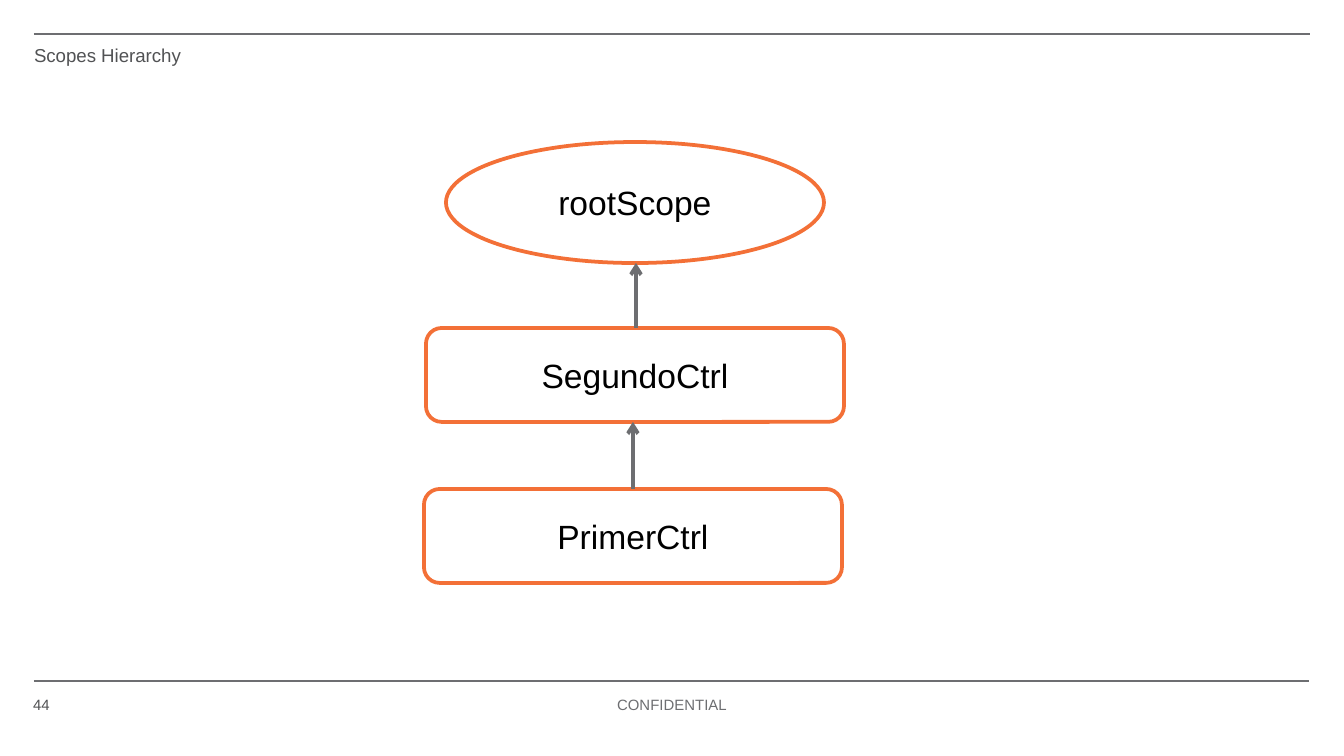
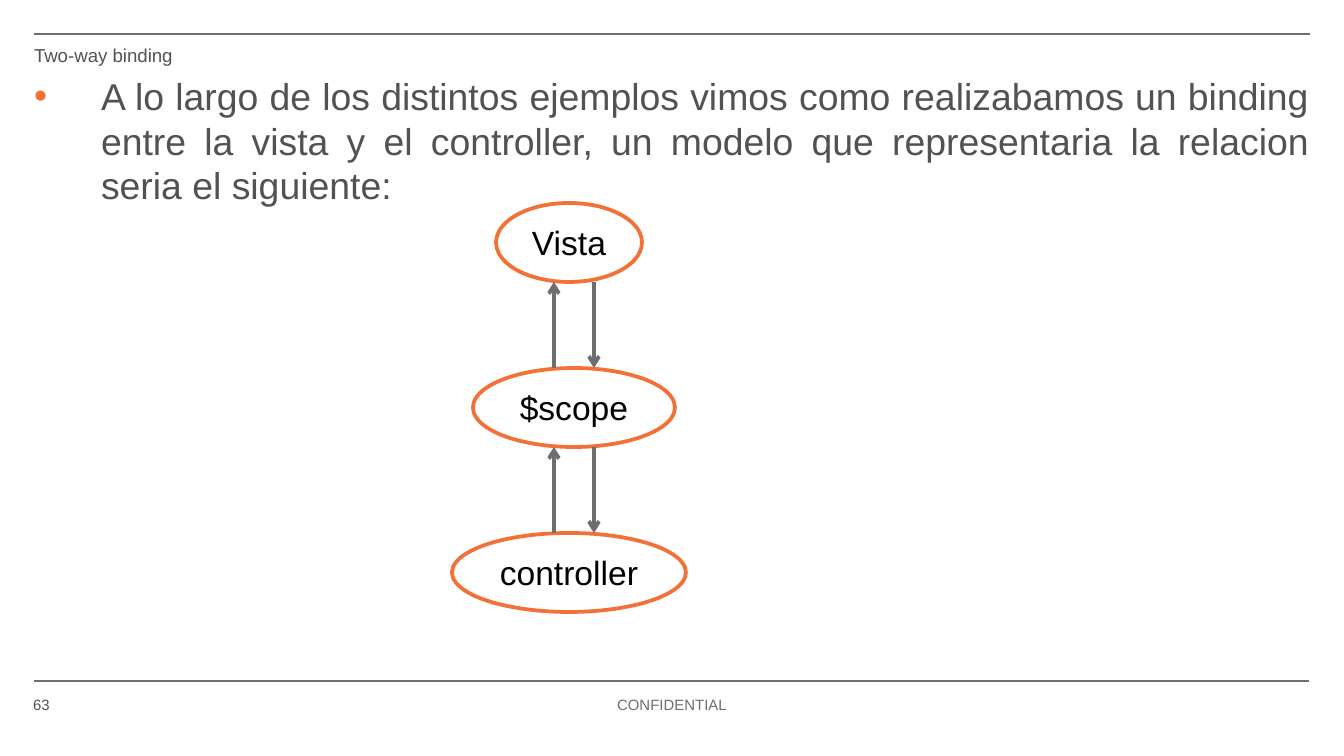
from lxml.etree import SubElement
from pptx import Presentation
from pptx.dml.color import RGBColor
from pptx.enum.shapes import MSO_CONNECTOR, MSO_SHAPE
from pptx.enum.text import MSO_ANCHOR, PP_ALIGN
from pptx.oxml.ns import qn
from pptx.util import Pt

C = {"rule": "6D6E71", "text": "515254", "accent": "F37037", "node": "FFFFFF", "label": "000000"}
FONT = "Arial"
SLIDE_W, SLIDE_H = 1344, 756
MARGIN = 34
RULES = [(MARGIN, 1310, 34), (MARGIN, 1309, 681)]
FOOTER_Y, FOOTER_W, FOOTER_H = 696, 308, 40
ELLIPSE, ROUND = MSO_SHAPE.OVAL, MSO_SHAPE.ROUNDED_RECTANGLE

SLIDES = [
    {
        "title": "Scopes Hierarchy",
        "page": "44",
        "bullet": None,
        "nodes": [
            ("rootScope", ELLIPSE, 446, 142, 378, 121),
            ("SegundoCtrl", ROUND, 426, 328, 418, 94),
            ("PrimerCtrl", ROUND, 424, 489, 418, 94),
        ],
        "up": [636, 633],
        "down": [],
    },
    {
        "title": "Two-way binding",
        "page": "63",
        "bullet": "A lo largo de los distintos ejemplos vimos como realizabamos un binding entre la vista "
                  "y el controller, un modelo que representaria la relacion seria el siguiente:",
        "nodes": [
            ("Vista", ELLIPSE, 496, 203, 146, 79),
            ("$scope", ELLIPSE, 473, 368, 202, 79),
            ("controller", ELLIPSE, 452, 533, 234, 79),
        ],
        "up": [554, 554],
        "down": [594, 594],
    },
]


def px(n):
    return round(n * 914400 / 134.4)


def rgb(name):
    return RGBColor.from_string(C[name])


def write(sp, text, size, color="text", align=PP_ALIGN.LEFT, before=3, anchor=MSO_ANCHOR.TOP, inset=0):
    tf = sp.text_frame
    tf.word_wrap = True
    tf.vertical_anchor = anchor
    tf.margin_left = tf.margin_right = tf.margin_top = tf.margin_bottom = px(inset)
    p = tf.paragraphs[0]
    p.alignment = align
    p.space_before = Pt(before)
    r = p.add_run()
    r.text = text
    r.font.size = Pt(size)
    r.font.name = FONT
    r.font.color.rgb = rgb(color)
    return p


def add_text(s, x, y, w, h, text, size, **fmt):
    return write(s.shapes.add_textbox(px(x), px(y), px(w), px(h)), text, size, **fmt)


def add_line(s, x1, y1, x2, y2, width, arrow=False):
    cn = s.shapes.add_connector(MSO_CONNECTOR.STRAIGHT, px(x1), px(y1), px(x2), px(y2))
    cn.line.color.rgb = rgb("rule")
    cn.line.width = Pt(width)
    if arrow:
        SubElement(cn.line._get_or_add_ln(), qn("a:tailEnd"), type="arrow")
    SubElement(cn._element.spPr, qn("a:effectLst"))


def add_node(s, text, kind, x, y, w, h):
    sp = s.shapes.add_shape(kind, px(x), px(y), px(w), px(h))
    sp.shadow.inherit = False
    sp.fill.solid()
    sp.fill.fore_color.rgb = rgb("node")
    sp.line.color.rgb = rgb("accent")
    sp.line.width = Pt(2)
    write(sp, text, 18, color="label", align=PP_ALIGN.CENTER, before=0, anchor=MSO_ANCHOR.MIDDLE, inset=6)


def add_bullet(s, text):
    p = add_text(s, MARGIN, 73, 1276, 578, text, 20, align=PP_ALIGN.JUSTIFY, before=6.7)
    pPr = p._p.get_or_add_pPr()
    pPr.set("marL", str(px(67)))
    pPr.set("indent", str(-px(67)))
    SubElement(SubElement(pPr, qn("a:buClr")), qn("a:srgbClr"), val=C["accent"])
    SubElement(pPr, qn("a:buFont"), typeface=FONT)
    SubElement(pPr, qn("a:buChar"), char="•")


def add_frame(s, title, page):
    for x1, x2, y in RULES:
        add_line(s, x1, y, x2, y, 1)
    add_text(s, MARGIN - 1, FOOTER_Y, FOOTER_W, FOOTER_H, page, 8)
    add_text(s, (SLIDE_W - FOOTER_W) / 2, FOOTER_Y, FOOTER_W, FOOTER_H, "CONFIDENTIAL", 8,
             color="rule", align=PP_ALIGN.CENTER)
    sp = s.shapes.title
    sp.left, sp.top, sp.width, sp.height = px(MARGIN), px(44), px(638), px(34)
    write(sp, title, 10)


def add_arrows(s, nodes, up, down):
    gaps = [(a[3] + a[5], b[3]) for a, b in zip(nodes, nodes[1:])]
    for x, (top, bottom) in zip(up, gaps):
        add_line(s, x, bottom, x, top, 2, arrow=True)
    for x, (top, bottom) in zip(down, gaps):
        add_line(s, x, top, x, bottom, 2, arrow=True)


def main():
    prs = Presentation()
    prs.slide_width, prs.slide_height = px(SLIDE_W), px(SLIDE_H)
    for d in SLIDES:
        s = prs.slides.add_slide(prs.slide_layouts[5])
        add_frame(s, d["title"], d["page"])
        if d["bullet"]:
            add_bullet(s, d["bullet"])
        for node in d["nodes"]:
            add_node(s, *node)
        add_arrows(s, d["nodes"], d["up"], d["down"])
    prs.save("out.pptx")


if __name__ == "__main__":
    main()
